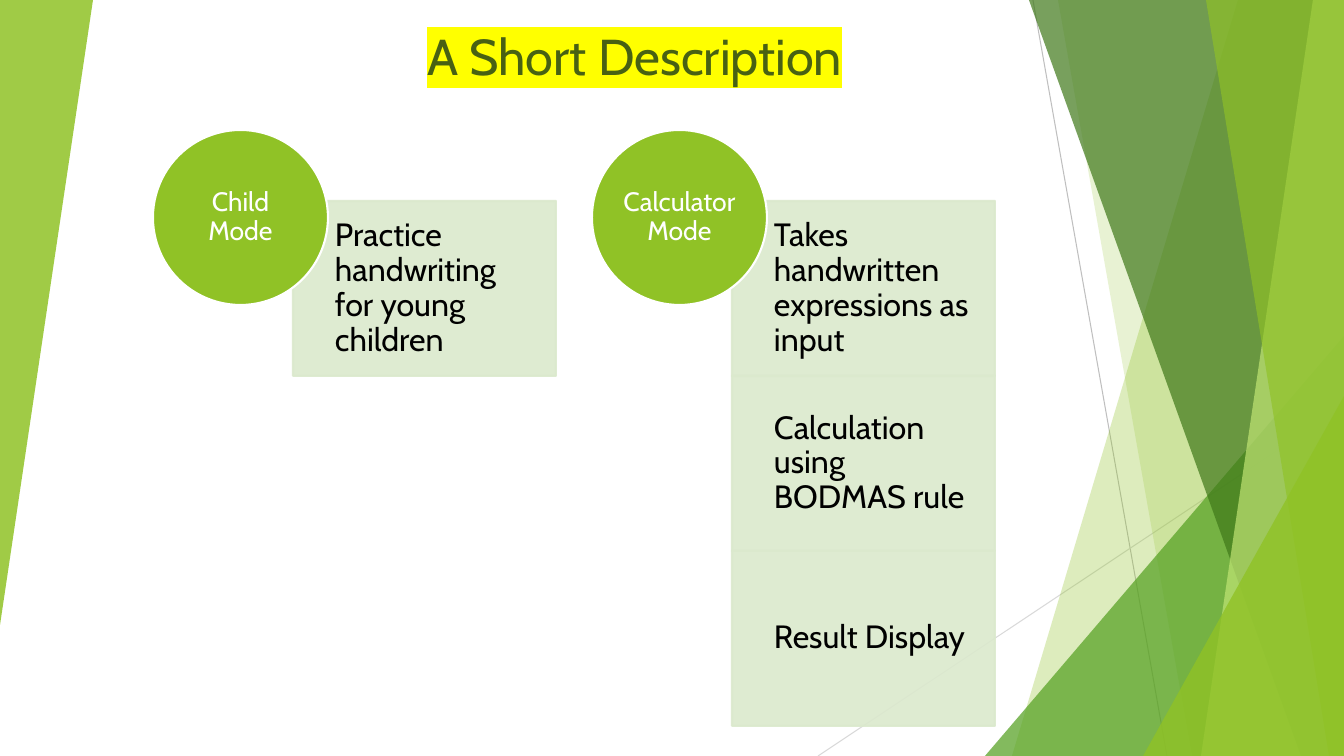
import pptx
import pptx.dml.color
import pptx.enum.shapes
import pptx.enum.text
import pptx.oxml.ns
import pptx.util
from lxml import etree

TITLE = "A Short Description"
MODES = [
    ("Child Mode", ["Practice handwriting for young children"]),
    ("Calculator Mode", [
        "Takes handwritten expressions as input",
        "Calculation using BODMAS rule",
        "Result Display",
    ]),
]

THEME = {
    "font": "Cabin",
    "title_size": 36, "mode_size": 19, "step_size": 23,
    "title": "486113", "highlight": "FFFF00",
    "green": "90C226", "card": "DBE9CD", "white": "FFFFFF", "black": "000000",
    "mid_green": "54A021", "dark_green": "3F7819", "lime": "C0E474",
    "gray": "BFBFBF", "light_gray": "D9D9D9",
}

# Lengths are pixels at 100.8 to the inch.
SCALE = 914400 / 100.8
WIDTH, HEIGHT = 1344, 756
TITLE_BOX = (417, 20, 911, 72)
CIRCLE_LEFT, CIRCLE_TOP, CIRCLE = 153, 130, 175
COLUMN_PITCH = 439
CARD_SHIFT, CARD_TOP, CARD_WIDTH, CARD_HEIGHT = 140, 201, 263, 175
CARD_INSETS = (42, 18, 18, 18)

# Start, end, colour
RAYS = [
    ((1033, 0), (1167, HEIGHT), "gray"),
    ((WIDTH, 406), (818, HEIGHT), "light_gray"),
]
# A blade has its left edge at (top x, bottom x) and runs to the right border.
# A wedge is a right triangle in the box (left, top, width, height), turned.
FACETS = [
    ("blade", (1238, 1012), 0, "green", 30),
    ("blade", (1058, 1192), 0, "green", 20),
    ("wedge", (985, 336, 359, 420), 0, "mid_green", 72),
    ("blade", (1029, 1301), 0, "dark_green", 70),
    ("blade", (1313, 1201), 0, "lime", 70),
    ("blade", (1206, 1329), 0, "green", 65),
    ("wedge", (1143, 396, 201, 360), 0, "green", 80),
    ("wedge", (0, 0, 93, 625), 180, "green", 85),
]

SHAPE = pptx.enum.shapes.MSO_SHAPE
ALIGN = pptx.enum.text.PP_ALIGN
ANCHOR = pptx.enum.text.MSO_ANCHOR
qn = pptx.oxml.ns.qn


def px(*lengths):
    """Turn pixel lengths into a list of EMU."""
    return [pptx.util.Emu(round(length * SCALE)) for length in lengths]


def rgb(name):
    """Look up a theme colour."""
    return pptx.dml.color.RGBColor.from_string(THEME[name])


def paint(shape, fill, line=None, opacity=100):
    """Set fill, outline and opacity of a shape, without shadow."""
    shape.shadow.inherit = False
    shape.fill.solid()
    shape.fill.fore_color.rgb = rgb(fill)
    if line:
        shape.line.color.rgb = rgb(line)
        shape.line.width = pptx.util.Pt(1.5)
    else:
        shape.line.fill.background()
    if opacity < 100:
        for color in list(shape.element.spPr.iter(qn("a:srgbClr"))):
            etree.SubElement(color, qn("a:alpha"), val=str(opacity * 1000))


def write(shape, text, *, size, color, align=ALIGN.LEFT, anchor=ANCHOR.MIDDLE,
          insets=(0, 0, 0, 0), spacing=1.0, highlight=None):
    """Put formatted text into a shape."""
    frame = shape.text_frame
    frame.word_wrap = True
    frame.auto_size = pptx.enum.text.MSO_AUTO_SIZE.NONE
    frame.vertical_anchor = anchor
    (frame.margin_left, frame.margin_top,
     frame.margin_right, frame.margin_bottom) = px(*insets)
    paragraph = frame.paragraphs[0]
    paragraph.alignment = align
    paragraph.line_spacing = spacing
    run = paragraph.add_run()
    run.text = text
    run.font.name = THEME["font"]
    run.font.size = pptx.util.Pt(THEME[size])
    run.font.color.rgb = rgb(color)
    if highlight:
        mark = etree.Element(qn("a:highlight"))
        etree.SubElement(mark, qn("a:srgbClr"), val=THEME[highlight])
        run.font.fill  # the highlight follows the text fill
        run.font.color.rgb = rgb(color)
        run.font.bold = False
        paragraph.runs[0]._r.rPr.find(qn("a:solidFill")).addnext(mark)


def draw_ray(shapes, start, end, color):
    """Draw a thin background line."""
    ray = shapes.add_connector(pptx.enum.shapes.MSO_CONNECTOR.STRAIGHT,
                               *px(*start, *end))
    ray.line.color.rgb = rgb(color)
    ray.line.width = pptx.util.Pt(0.75)
    etree.SubElement(ray.element.spPr, qn("a:effectLst"))


def draw_facet(shapes, kind, place, rotation, color, opacity):
    """Draw one translucent background facet."""
    if kind == "blade":
        top, bottom = place
        outline = shapes.build_freeform(top, 0, scale=SCALE)
        outline.add_line_segments(
            [(WIDTH, 0), (WIDTH, HEIGHT), (bottom, HEIGHT)], close=True)
        facet = outline.convert_to_shape()
    else:
        facet = shapes.add_shape(SHAPE.ISOSCELES_TRIANGLE, *px(*place))
        facet.adjustments[0] = 1.0
        facet.rotation = rotation
    paint(facet, color, opacity=opacity)


def draw_mode(shapes, column, mode, steps):
    """Draw a column of step cards headed by its mode circle."""
    left = CIRCLE_LEFT + column * COLUMN_PITCH
    for row, step in enumerate(steps):
        card = shapes.add_shape(SHAPE.RECTANGLE, *px(
            left + CARD_SHIFT, CARD_TOP + row * CARD_HEIGHT,
            CARD_WIDTH, CARD_HEIGHT))
        paint(card, "card", line="card", opacity=90)
        write(card, step, size="step_size", color="black",
              insets=CARD_INSETS, spacing=0.9)
    circle = shapes.add_shape(SHAPE.OVAL, *px(left, CIRCLE_TOP, CIRCLE, CIRCLE))
    paint(circle, "green", line="white")
    write(circle, mode, size="mode_size", color="white",
          align=ALIGN.CENTER, spacing=0.9)


def main():
    """Build and save the slide."""
    deck = pptx.Presentation()
    deck.slide_width, deck.slide_height = px(WIDTH, HEIGHT)
    slide = deck.slides.add_slide(deck.slide_layouts[5])
    shapes = slide.shapes
    for ray in RAYS:
        draw_ray(shapes, *ray)
    for facet in FACETS:
        draw_facet(shapes, *facet)
    title = shapes.title
    title.left, title.top, title.width, title.height = px(*TITLE_BOX)
    write(title, TITLE, size="title_size", color="title", anchor=ANCHOR.TOP,
          insets=(10, 5, 10, 5), highlight="highlight")
    for column, (mode, steps) in enumerate(MODES):
        draw_mode(shapes, column, mode, steps)
    deck.save("out.pptx")


main()
